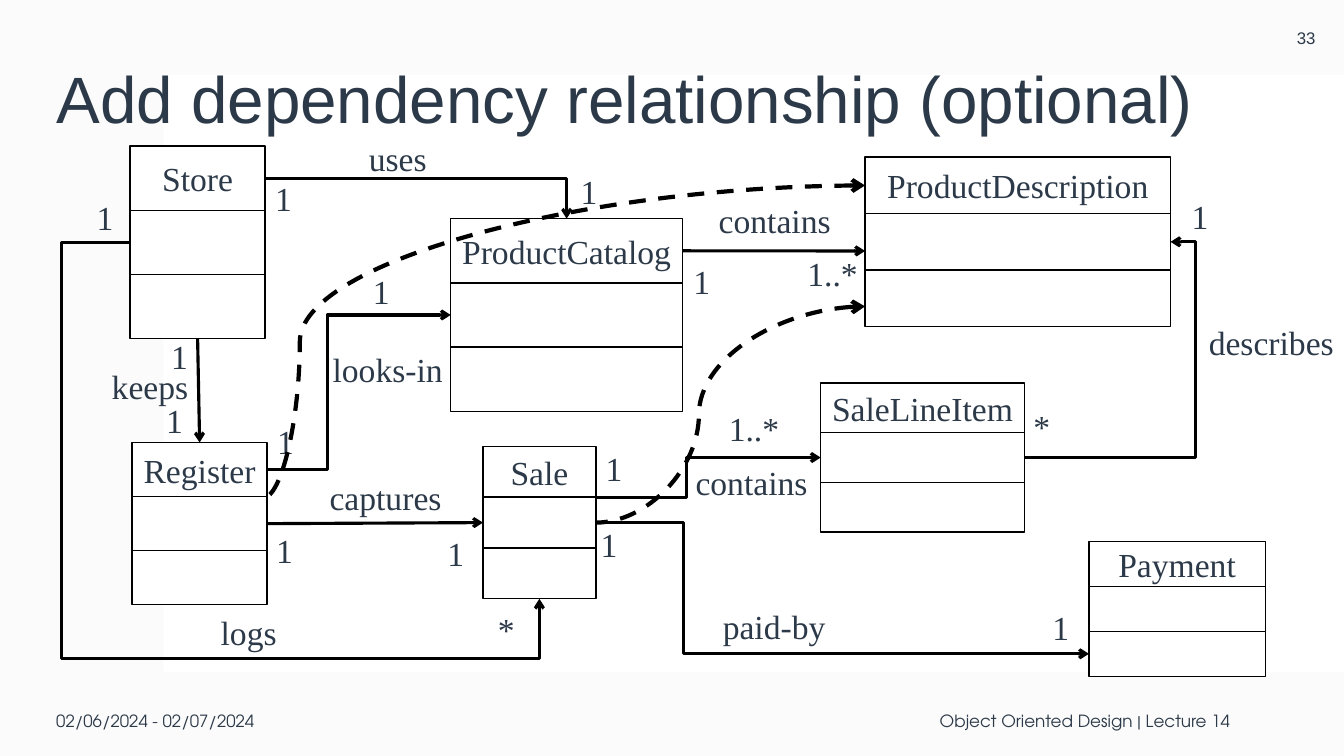
from lxml import etree
from pptx import Presentation
from pptx.dml.color import RGBColor
from pptx.enum.dml import MSO_LINE
from pptx.enum.shapes import MSO_CONNECTOR, MSO_SHAPE
from pptx.enum.text import MSO_ANCHOR, MSO_AUTO_SIZE, PP_ALIGN
from pptx.oxml.ns import qn
from pptx.util import Inches, Pt

RECT = MSO_SHAPE.RECTANGLE
STRAIGHT, ELBOW, CURVE = MSO_CONNECTOR.STRAIGHT, MSO_CONNECTOR.ELBOW, MSO_CONNECTOR.CURVE
LEFT, CENTER, RIGHT = PP_ALIGN.LEFT, PP_ALIGN.CENTER, PP_ALIGN.RIGHT
TOP, MIDDLE = MSO_ANCHOR.TOP, MSO_ANCHOR.MIDDLE
GROW = MSO_AUTO_SIZE.SHAPE_TO_FIT_TEXT
N, W, S, E = range(4)  # connection sites of a rectangle

INK, BLACK, WHITE, PALE = "2C3948", "000000", "FFFFFF", "F4F4F4"
SERIF, SANS, FOOT = "Times New Roman", "Arial", "TeX Gyre Adventor"
WIDTH, HEIGHT = 13.33, 7.5

TITLE = "Add dependency relationship (optional)"
MARGINALIA = [  # text, box, font, alignment
    ("33", (12.58, 0, 0.75, 0.75), SANS, CENTER),
    ("02/06/2024 - 02/07/2024", (0.46, 6.8, 3, 0.7), FOOT, LEFT),
    ("Object Oriented Design | Lecture 14", (4.12, 6.8, 8.18, 0.7), FOOT, RIGHT),
]
CLASSES = {  # name: left, top, width, height of three equal compartments
    "Register": (1.31, 4.39, 1.34, 1.61),
    "Sale": (4.79, 4.43, 1.12, 1.51),
    "ProductCatalog": (4.47, 2.17, 2.3, 1.91),
    "ProductDescription": (8.58, 1.56, 3.03, 1.68),
    "Payment": (10.8, 5.37, 1.75, 1.34),
    "Store": (1.29, 1.45, 1.34, 1.91),
    "SaleLineItem": (8.14, 3.8, 2.02, 1.48),
}
# An end is (class, compartment, site) or a free point (x, y)
ASSOCIATIONS = [  # kind, from, to, preset, bend positions
    (ELBOW, ("Store", 0, E), ("ProductCatalog", 0, N), "bentConnector2", ()),
    (STRAIGHT, ("Store", 2, S), ("Register", 0, N), "line", ()),
    (STRAIGHT, ("Register", 1, E), ("Sale", 1, W), "line", ()),
    (ELBOW, ("Store", 1, W), ("Sale", 2, S), "bentConnector4", (-0.167, 1.168)),
    (ELBOW, ("Sale", 1, E), ("Payment", 2, W), "bentConnector3", (0.178,)),
    (ELBOW, (5.91, 4.94), ("SaleLineItem", 1, W), "bentConnector3", (0.404,)),
    (STRAIGHT, ("ProductCatalog", 0, E), (8.58, 2.49), "line", ()),
    (ELBOW, ("SaleLineItem", 1, E), ("ProductDescription", 1, E), "bentConnector3", (1.171,)),
    (ELBOW, ("Register", 0, E), ("ProductCatalog", 1, W), "bentConnector3", (0.329,)),
]
DEPENDENCIES = [
    (CURVE, (8.58, 3.04), ("Sale", 1, E), "curvedConnector3", (0.617,)),
    (CURVE, ("ProductDescription", 0, W), (2.61, 4.94), "curvedConnector3", (0.939,)),
]
LABELS = {  # text: left and top of each place it stands
    "1": [(2.63, 1.72), (5.66, 1.65), (6.78, 2.54), (5.91, 4.39), (5.86, 5.15),
          (2.65, 4.13), (3.6, 2.64), (1.55, 3.92), (1.6, 3.28), (0.86, 1.9),
          (2.64, 5.21), (4.34, 5.24), (10.34, 5.97), (11.72, 1.89)],
    "*": [(10.15, 3.98), (4.84, 5.99)],
    "1..*": [(7.13, 4), (7.91, 2.46)],
    "describes": [(11.89, 3.14)],
    "contains": [(7.03, 1.93), (6.8, 4.53)],
    "uses": [(3.56, 1.32)],
    "looks-in": [(3.2, 3.41)],
    "captures": [(3.17, 4.68)],
    "paid-by": [(7.07, 5.96)],
    "logs": [(2.09, 6.02)],
    "keeps": [(1.01, 3.58)],
}
LABEL_WIDTHS = {1: 0.34, 4: 0.8}  # by text length; words such as uses are wider
WORD_WIDTH, LABEL_HEIGHT = 1.68, 0.5


def rgb(color):
    return RGBColor.from_string(color)


def inches(*values):
    return [Inches(v) for v in values]


def write(sp, text, size, font, align=LEFT, anchor=TOP, wrap=True):
    tf = sp.text_frame
    tf.word_wrap, tf.vertical_anchor = wrap, anchor
    p = tf.paragraphs[0]
    p.alignment = align
    r = p.add_run()
    r.text = text
    for key, value in {"size": Pt(size), "name": font}.items():
        setattr(r.font, key, value)
    r.font.color.rgb = rgb(INK)
    return tf


def add_rect(shapes, box, fill, line=None):
    sp = shapes.add_shape(RECT, *inches(*box))
    sp.shadow.inherit = False
    sp.fill.solid()
    sp.fill.fore_color.rgb = rgb(fill)
    if line:
        sp.line.color.rgb, sp.line.width = rgb(line), Pt(1)
    else:
        sp.line.fill.background()
    return sp


def add_class(shapes, name, box):
    left, top, width, height = box
    row = height / 3
    group = shapes.add_group_shape()
    parts = [add_rect(group.shapes, (left, top + i * row, width, row), WHITE, BLACK)
             for i in range(3)]
    write(parts[0], name, 24, SERIF, CENTER, MIDDLE, wrap=False)
    return parts


def add_arrow(shapes, parts, link, weight, arrow_end, dash=None):
    kind, start, end, preset, bends = link
    points = []
    for place in (start, end):
        if len(place) == 2:
            points += inches(*place)
        else:
            points += [0, 0]
    cn = shapes.add_connector(kind, *points)
    for place, connect in ((start, cn.begin_connect), (end, cn.end_connect)):
        if len(place) == 3:
            name, part, site = place
            connect(parts[name][part], site)
    cn.line.color.rgb, cn.line.width = rgb(BLACK), Pt(weight)
    if dash:
        cn.line.dash_style = dash
    # Route, arrowhead and no shadow
    props = cn._element.spPr
    geom = props.find(qn("a:prstGeom"))
    geom.set("prst", preset)
    guides = geom.find(qn("a:avLst"))
    for i, bend in enumerate(bends, 1):
        etree.SubElement(guides, qn("a:gd"), name=f"adj{i}", fmla=f"val {round(bend * 100000)}")
    etree.SubElement(props.find(qn("a:ln")), qn(f"a:{arrow_end}"), type="arrow")
    etree.SubElement(props, qn("a:effectLst"))


def main():
    prs = Presentation()
    prs.slide_width, prs.slide_height = inches(WIDTH, HEIGHT)
    slide = prs.slides.add_slide(prs.slide_layouts[5])
    shapes = slide.shapes

    # Backdrop
    veil = add_rect(shapes, (0, 0, WIDTH, HEIGHT), PALE)
    color = veil._element.spPr.find(qn("a:solidFill"))[0]
    etree.SubElement(color, qn("a:alpha"), val="35000")
    add_rect(shapes, (1.62, 0.74, WIDTH - 1.62, 5.93), WHITE)

    # Title, raised above the backdrop
    title = shapes.title
    shapes._spTree.append(title._element)
    title.left, title.top, title.width, title.height = inches(0.46, 0.4, 11.82, 1.23)
    tf = write(title, TITLE, 46.8, SANS, LEFT, MIDDLE)
    tf.auto_size = MSO_AUTO_SIZE.NONE
    tf.paragraphs[0].line_spacing = 0.9

    # Page number and footer
    for text, box, font, align in MARGINALIA:
        write(shapes.add_textbox(*inches(*box)), text, 12, font, align, MIDDLE)

    # Classes and associations
    parts = {name: add_class(shapes, name, box) for name, box in CLASSES.items()}
    for link in ASSOCIATIONS:
        add_arrow(shapes, parts, link, 2.25, "tailEnd")

    # Role names and multiplicities
    for text, places in LABELS.items():
        width = WORD_WIDTH if text.isalpha() or "-" in text else LABEL_WIDTHS[len(text)]
        for left, top in places:
            sp = shapes.add_textbox(*inches(left, top, width, LABEL_HEIGHT))
            write(sp, text, 24, SERIF).auto_size = GROW

    # Dependencies
    for link in DEPENDENCIES:
        add_arrow(shapes, parts, link, 3, "headEnd", MSO_LINE.DASH)

    prs.save("out.pptx")


if __name__ == "__main__":
    main()
